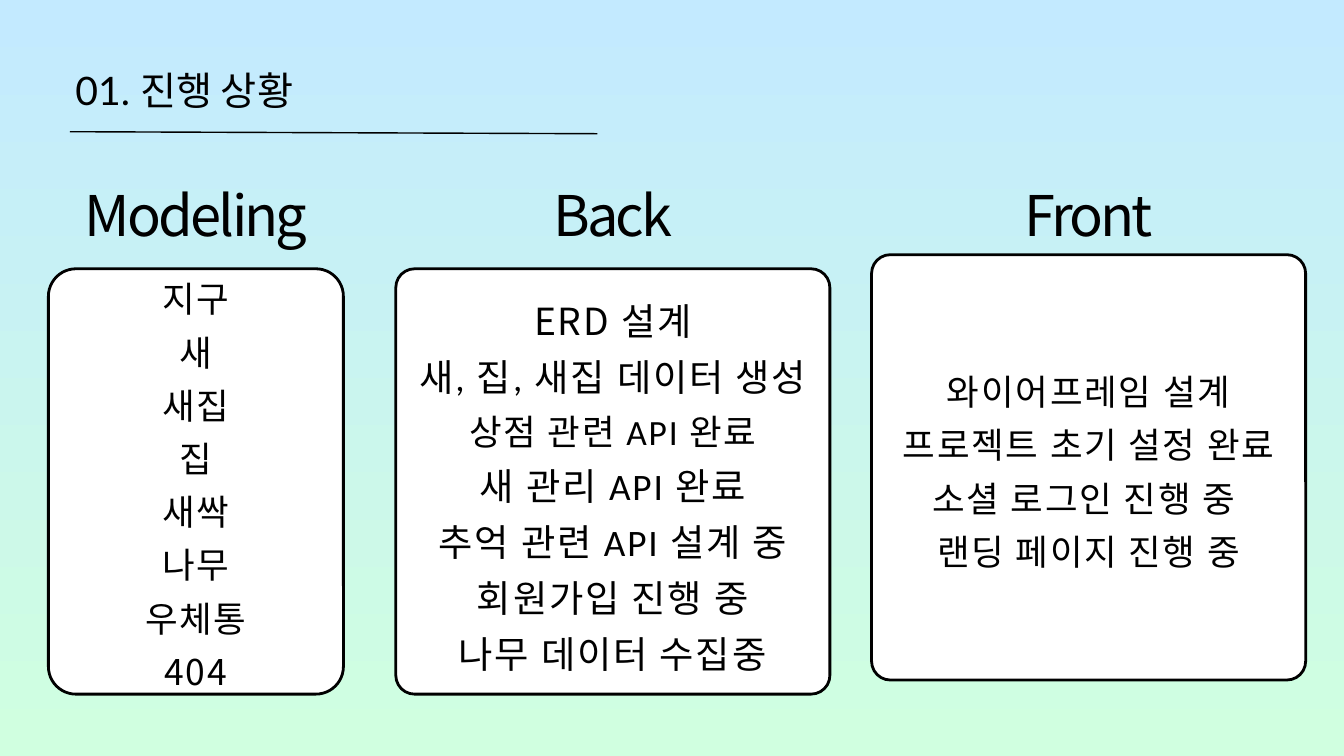
import dataclasses
import typing

import pptx
import pptx.dml.color
import pptx.enum.shapes
import pptx.enum.text
import pptx.oxml.ns
import pptx.slide
import pptx.text.text
import pptx.util
from lxml import etree

# The grid has square cells: 20 columns by 11.25 rows.
SLIDE_WIDTH = pptx.util.Inches(20)
COLUMNS, ROWS = 20, 11.25

BLACK = pptx.dml.color.RGBColor(0x00, 0x00, 0x00)
WHITE = pptx.dml.color.RGBColor(0xFF, 0xFF, 0xFF)
SKY = pptx.dml.color.RGBColor(0xC3, 0xEA, 0xFF)
MINT = pptx.dml.color.RGBColor(0xD0, 0xFF, 0xE0)
SANS, BODY, TITLE = "Noto Sans CJK KR", "Calibri", "Lato"

HEADING_TOP, HEADING_WIDTH, HEADING_HEIGHT = 2.85, 4.7, 0.94
CARD_HEIGHT = 6.33


@dataclasses.dataclass(frozen=True)
class Line:
    """One line of text; leading and tracking are shares of its size."""
    text: str
    size: float = 38
    font: str = BODY
    leading: float = 1.5
    tracking: float = 0.05


@dataclasses.dataclass(frozen=True)
class Area:
    left: float
    top: float
    width: float
    height: float


@dataclasses.dataclass(frozen=True)
class Section:
    heading: str
    heading_left: float
    card: Area
    radius: float
    body: Area
    lines: typing.Tuple[Line, ...]


SECTIONS = (
    Section("Modeling", 0.57, Area(0.72, 4, 4.39, CARD_HEIGHT), 0.41,
            Area(0.88, 3.97, 4.07, 6.28),
            (Line("지구"), Line("새"), Line("새집"), Line("집"), Line("새싹"),
             Line("나무"), Line("우체통"), Line("404", font=SANS))),
    Section("Back", 6.77, Area(5.89, 4, 6.46, CARD_HEIGHT), 0.28,
            Area(5.89, 4.27, 6.46, 5.67),
            (Line("ERD 설계", 40, SANS), Line("새, 집, 새집 데이터 생성", 40),
             Line("상점 관련 API 완료"), Line("새 관리 API 완료", 40),
             Line("추억 관련 API 설계 중", 40), Line("회원가입 진행 중", 40),
             Line("나무 데이터 수집중", 40))),
    Section("Front", 13.85, Area(12.97, 3.79, 6.46, CARD_HEIGHT), 0.28,
            Area(13.26, 5.35, 5.88, 3.12),
            (Line("와이어프레임 설계"), Line("프로젝트 초기 설정 완료"),
             Line("소셜 로그인 진행 중 "), Line("랜딩 페이지 진행 중"))),
)


def cells(count: float) -> pptx.util.Emu:
    """Length of a number of grid columns or rows."""
    return pptx.util.Emu(round(SLIDE_WIDTH * count / COLUMNS))


def bounds(area: Area) -> typing.Tuple[pptx.util.Emu, ...]:
    return tuple(cells(value) for value in dataclasses.astuple(area))


def write_lines(frame: pptx.text.text.TextFrame, lines: typing.Sequence[Line],
                alignment: pptx.enum.text.PP_ALIGN) -> None:
    frame.text = "\n".join(line.text for line in lines)
    frame.word_wrap = True
    frame.auto_size = pptx.enum.text.MSO_AUTO_SIZE.SHAPE_TO_FIT_TEXT
    frame.vertical_anchor = pptx.enum.text.MSO_ANCHOR.TOP
    frame.margin_left = frame.margin_right = 0
    frame.margin_top = frame.margin_bottom = 0
    for para, line in zip(frame.paragraphs, lines):
        para.alignment = alignment
        para.line_spacing = pptx.util.Pt(line.size * line.leading)
        para.space_before = para.space_after = pptx.util.Pt(0)
        for span in para.runs:
            span.font.size = pptx.util.Pt(line.size)
            span.font.name = line.font
            span.font.color.rgb = BLACK
            tracking = round(line.size * line.tracking * 100)
            span._r.get_or_add_rPr().set("spc", str(tracking))


def add_text(page: pptx.slide.Slide, area: Area, lines: typing.Sequence[Line]) -> None:
    box = page.shapes.add_textbox(*bounds(area))
    write_lines(box.text_frame, lines, pptx.enum.text.PP_ALIGN.CENTER)


def add_card(page: pptx.slide.Slide, area: Area, radius: float) -> None:
    card = page.shapes.add_shape(
        pptx.enum.shapes.MSO_SHAPE.ROUNDED_RECTANGLE, *bounds(area))
    card.adjustments[0] = radius / min(area.width, area.height)
    card.shadow.inherit = False
    card.fill.solid()
    card.fill.fore_color.rgb = WHITE
    card.line.color.rgb = BLACK
    card.line.width = pptx.util.Pt(3)


def add_section(page: pptx.slide.Slide, section: Section) -> None:
    heading_area = Area(section.heading_left, HEADING_TOP, HEADING_WIDTH, HEADING_HEIGHT)
    add_text(page, heading_area, [Line(section.heading, 60, SANS, 1, -0.05)])
    add_card(page, section.card, section.radius)
    add_text(page, section.body, section.lines)


def add_title(page: pptx.slide.Slide) -> None:
    title = page.shapes.title
    title.left, title.top, title.width, title.height = bounds(Area(1.12, 0.64, 7.77, 0.96))
    write_lines(title.text_frame, [Line("01. 진행 상황", 42, TITLE, 1.8, 0)],
                pptx.enum.text.PP_ALIGN.LEFT)
    rule = page.shapes.add_connector(
        pptx.enum.shapes.MSO_CONNECTOR.STRAIGHT,
        cells(1.04), cells(1.96), cells(8.89), cells(1.99))
    rule.line.color.rgb = BLACK
    rule.line.width = pptx.util.Pt(1.5)
    etree.SubElement(rule._element.spPr, pptx.oxml.ns.qn("a:effectLst"))


def paint_background(page: pptx.slide.Slide) -> None:
    fill = page.background.fill
    fill.gradient()
    fill.gradient_angle = 270
    for stop, color, position in zip(fill.gradient_stops, (SKY, MINT), (0, 1)):
        stop.color.rgb = color
        stop.position = position


def main() -> None:
    deck = pptx.Presentation()
    deck.slide_width, deck.slide_height = SLIDE_WIDTH, cells(ROWS)
    page = deck.slides.add_slide(deck.slide_layouts.get_by_name("Title Only"))
    paint_background(page)
    add_title(page)
    for section in SECTIONS:
        add_section(page, section)
    deck.save("out.pptx")


if __name__ == "__main__":
    main()
